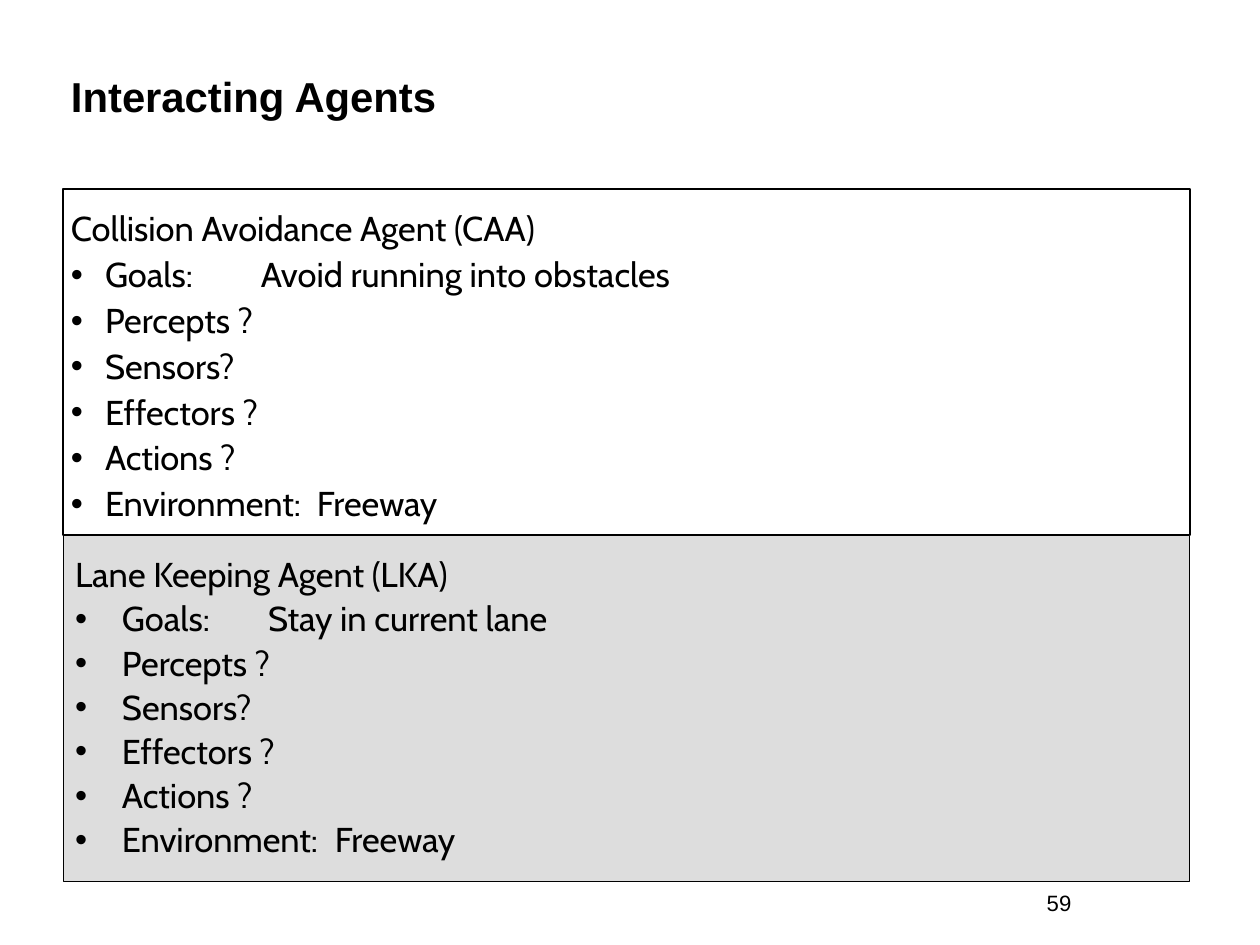
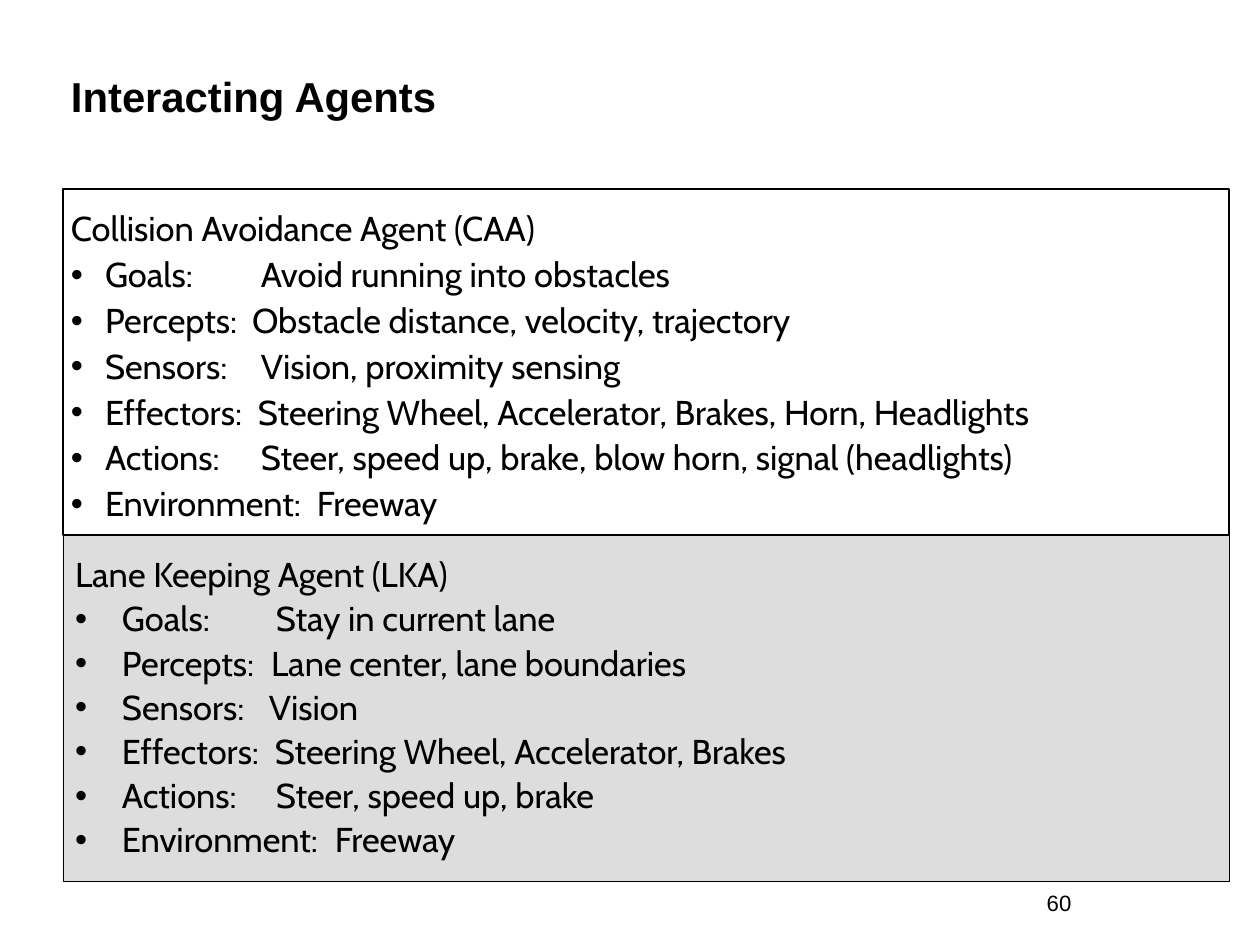
from dataclasses import dataclass

from lxml.etree import SubElement
from pptx import Presentation
from pptx.dml.color import RGBColor
from pptx.enum.shapes import MSO_SHAPE
from pptx.enum.text import MSO_ANCHOR, MSO_AUTO_SIZE, PP_ALIGN
from pptx.oxml.ns import qn
from pptx.util import Pt

PX = 10320


@dataclass(frozen=True)
class Theme:
    """Colours, fonts and type sizes shared by the slides."""
    ink: str = "000000"
    shade: str = "DDDDDD"
    heading_font: str = "Arial"
    body_font: str = "Cabin"
    title_size: int = 34
    body_size: int = 28
    number_size: int = 18


@dataclass(frozen=True)
class PanelStyle:
    """Insets, indents and spacing of one kind of agent panel."""
    insets: tuple
    margin: int
    hanging: int
    space_before: float
    outline: float
    fill: str | None = None


THEME = Theme()
COLLISION_STYLE = PanelStyle((5, 23, 11, 5), 37, 34, 7, 1)
LANE_STYLE = PanelStyle((12, 23, 12, 6), 47, 47, 5.6, 0.75, THEME.shade)

TITLE_BOX = (66, 0, 1123, 126)
NUMBER_BOX = (928, 859, 262, 63)
PANEL_LEFT, PANEL_TOP, PANEL_HEIGHT = 63, 189, 346

QUESTIONS = [("Percepts ?",), ("Sensors?",), ("Effectors ?",), ("Actions ?",)]
COLLISION_HEADING = "Collision Avoidance Agent (CAA)"
COLLISION_GOAL = ("Goals:", "Avoid running into obstacles", 193)
COLLISION_PLACE = ("Environment:", "Freeway", 249)
LANE_HEADING = "Lane Keeping Agent (LKA)"
LANE_PLACE = ("Environment:", "Freeway", 260)

SLIDES = [
    ("59", 1127,
     [COLLISION_GOAL, *QUESTIONS, COLLISION_PLACE],
     [("Goals:", "Stay in current lane", 193), *QUESTIONS, LANE_PLACE]),
    ("60", 1166,
     [COLLISION_GOAL,
      ("Percepts:", "Obstacle distance, velocity, trajectory", 184),
      ("Sensors:", "Vision, proximity sensing", 193),
      ("Effectors:", "Steering Wheel, Accelerator, Brakes, Horn, Headlights", 190),
      ("Actions:", "Steer, speed up, brake, blow horn, signal (headlights)", 193),
      COLLISION_PLACE],
     [("Goals:", "Stay in current lane", 201),
      ("Percepts:", "Lane center, lane boundaries", 196),
      ("Sensors:", "Vision", 194),
      ("Effectors:", "Steering Wheel, Accelerator, Brakes", 200),
      ("Actions:", "Steer, speed up, brake", 201),
      LANE_PLACE]),
]


def scaled(box):
    """Turn px lengths into EMU."""
    return [length * PX for length in box]


def place(shape, box):
    """Move and size a shape to a px box."""
    shape.left, shape.top, shape.width, shape.height = scaled(box)


def set_frame(frame, insets, anchor=MSO_ANCHOR.TOP, wrap=True):
    """Set the insets, anchor and wrapping of a text frame."""
    (frame.margin_left, frame.margin_top,
     frame.margin_right, frame.margin_bottom) = scaled(insets)
    frame.auto_size = MSO_AUTO_SIZE.NONE
    frame.vertical_anchor = anchor
    frame.word_wrap = wrap


def write(paragraph, text, size=THEME.body_size, font=THEME.body_font,
          bold=False, align=PP_ALIGN.LEFT):
    """Write one formatted run into a paragraph."""
    paragraph.alignment = align
    run = paragraph.add_run()
    run.text = text
    run.font.size = Pt(size)
    run.font.name = font
    run.font.bold = bold
    run.font.color.rgb = RGBColor.from_string(THEME.ink)


def set_bullet(paragraph, style, bullet=True, tab=None):
    """Give a paragraph its hanging indent, bullet and tab stop."""
    properties = paragraph._p.get_or_add_pPr()
    properties.set("marL", str(style.margin * PX))
    properties.set("indent", str(-style.hanging * PX))
    if bullet:
        colour = SubElement(properties, qn("a:buClr"))
        SubElement(colour, qn("a:srgbClr"), val=THEME.ink)
        SubElement(properties, qn("a:buFont"), typeface=THEME.heading_font)
        SubElement(properties, qn("a:buChar"), char="•")
    else:
        SubElement(properties, qn("a:buNone"))
    if tab:
        stops = SubElement(properties, qn("a:tabLst"))
        SubElement(stops, qn("a:tab"), pos=str(tab * PX), algn="l")


def fill_panel(shape, box, style, heading, rows):
    """Place an agent panel and write its heading and bulleted rows."""
    place(shape, box)
    if style.fill:
        shape.fill.solid()
        shape.fill.fore_color.rgb = RGBColor.from_string(style.fill)
    shape.line.color.rgb = RGBColor.from_string(THEME.ink)
    shape.line.width = Pt(style.outline)
    frame = shape.text_frame
    set_frame(frame, style.insets)
    for index, (label, *detail) in enumerate([(heading,), *rows]):
        paragraph = frame.add_paragraph() if index else frame.paragraphs[0]
        value, tab = detail or (None, None)
        set_bullet(paragraph, style, bullet=index > 0, tab=tab)
        paragraph.line_spacing = 0.9
        paragraph.space_before = Pt(style.space_before if index else 0)
        write(paragraph, f"{label}\t{value}" if value else label)


def add_title(slide, box, text):
    """Place the slide title."""
    title = slide.shapes.title
    place(title, box)
    set_frame(title.text_frame, (5, 5, 11, 5), MSO_ANCHOR.BOTTOM)
    write(title.text_frame.paragraphs[0], text, size=THEME.title_size,
          font=THEME.heading_font, bold=True)


def add_number(slide, box, number):
    """Place the page number."""
    frame = slide.shapes.add_textbox(*scaled(box)).text_frame
    set_frame(frame, (12, 6, 12, 6), MSO_ANCHOR.BOTTOM, wrap=False)
    write(frame.paragraphs[0], number, size=THEME.number_size,
          font=THEME.heading_font, align=PP_ALIGN.CENTER)


def add_agents_slide(presentation, number, width, collision_rows, lane_rows):
    """Add a slide with the two agent panels stacked."""
    slide = presentation.slides.add_slide(presentation.slide_layouts[1])
    add_title(slide, TITLE_BOX, "Interacting Agents")
    fill_panel(slide.placeholders[1], (PANEL_LEFT, PANEL_TOP, width, PANEL_HEIGHT),
               COLLISION_STYLE, COLLISION_HEADING, collision_rows)
    lane_box = (PANEL_LEFT, PANEL_TOP + PANEL_HEIGHT, width, PANEL_HEIGHT)
    lane_panel = slide.shapes.add_shape(MSO_SHAPE.RECTANGLE, *scaled(lane_box))
    lane_panel.shadow.inherit = False
    fill_panel(lane_panel, lane_box, LANE_STYLE, LANE_HEADING, lane_rows)
    add_number(slide, NUMBER_BOX, number)


def main():
    """Build and save the presentation."""
    presentation = Presentation()
    presentation.slide_width, presentation.slide_height = scaled((1260, 945))
    for content in SLIDES:
        add_agents_slide(presentation, *content)
    presentation.save("out.pptx")


if __name__ == "__main__":
    main()
